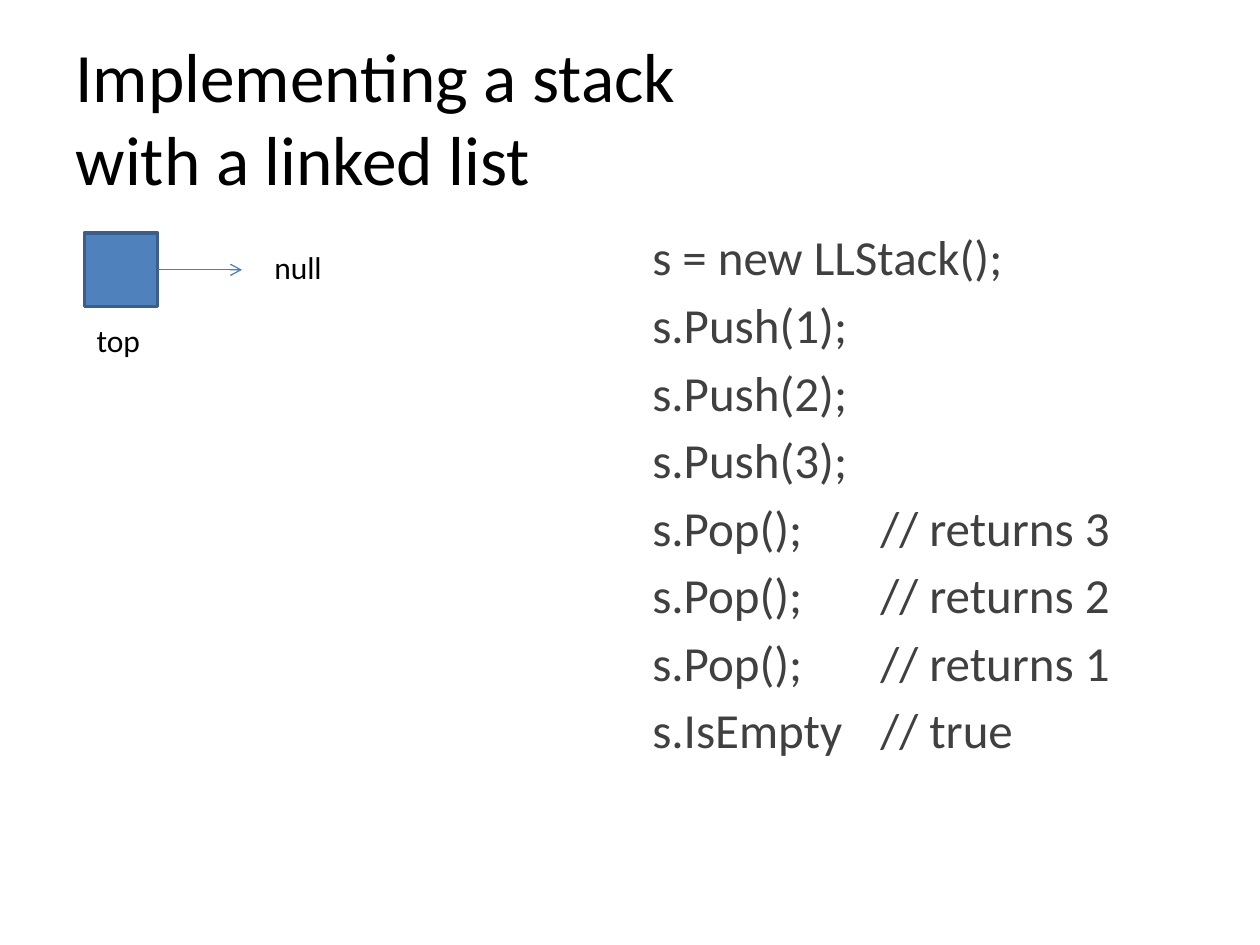
from dataclasses import dataclass

from lxml import etree
from pptx import Presentation
from pptx.dml.color import RGBColor
from pptx.enum.shapes import MSO_CONNECTOR, MSO_SHAPE
from pptx.enum.text import MSO_ANCHOR, MSO_AUTO_SIZE, PP_ALIGN
from pptx.oxml.ns import qn
from pptx.util import Cm, Pt

ELBOW = MSO_CONNECTOR.ELBOW
RECT = MSO_SHAPE.RECTANGLE
LEFT = PP_ALIGN.LEFT
TOP, MIDDLE = MSO_ANCHOR.TOP, MSO_ANCHOR.MIDDLE
FIXED, GROW = MSO_AUTO_SIZE.NONE, MSO_AUTO_SIZE.SHAPE_TO_FIT_TEXT
RIGHT_SIDE = 3


@dataclass(frozen=True)
class Theme:
    font: str = "Calibri"
    ink: RGBColor = RGBColor(0, 0, 0)
    code: RGBColor = RGBColor(0x40, 0x40, 0x40)
    node: RGBColor = RGBColor(0x4F, 0x81, 0xBD)
    edge: RGBColor = RGBColor(0x3A, 0x5F, 0x8C)
    arrow: RGBColor = RGBColor(0x4B, 0x7E, 0xBC)
    title_size: float = 39.6
    code_size: float = 28
    label_size: float = 18


@dataclass(frozen=True)
class Box:
    x: float
    y: float
    w: float
    h: float

    def place(self) -> tuple:
        return Cm(self.x), Cm(self.y), Cm(self.w), Cm(self.h)


@dataclass(frozen=True)
class Label:
    text: str
    box: Box


THEME = Theme()
TITLE = Label("Implementing a stack\vwith a linked list", Box(1.27, 0.76, 22.86, 3.18))
NODE = Box(1.7, 4.7, 1.48, 1.48)
ARROW_LEN = 1.7
LABELS = (
    Label("top", Box(1.7, 6.35, 1.4, 1.02)),
    Label("null", Box(5.28, 4.88, 1.48, 1.02)),
)
CODE = Label(
    "\n".join(
        ["s = new LLStack();"]
        + [f"s.Push({n});" for n in (1, 2, 3)]
        + [f"s.Pop();\t// returns {n}" for n in (3, 2, 1)]
        + ["s.IsEmpty\t// true"]
    ),
    Box(12.9, 4.45, 12.5, 12.57),
)
NOTE_TAB = 4.6


def apply(target, values: dict) -> None:
    for name, value in values.items():
        setattr(target, name, value)


def write(shape, text: str, size: float, color: RGBColor, frame: dict) -> None:
    body = shape.text_frame
    body.text = text
    apply(body, frame)
    for par in body.paragraphs:
        par.alignment = LEFT
        for run in par.runs:
            apply(run.font, {"name": THEME.font, "size": Pt(size)})
            run.font.color.rgb = color


def add_title(slide) -> None:
    title = slide.shapes.title
    spots = dict(zip(("left", "top", "width", "height"), TITLE.box.place()))
    apply(title, spots)
    frame = {"vertical_anchor": MIDDLE, "word_wrap": True, "auto_size": FIXED}
    write(title, TITLE.text, THEME.title_size, THEME.ink, frame)


def add_code(slide) -> None:
    """Write the calls, with their comments aligned at a tab stop."""
    box = slide.shapes.add_textbox(*CODE.box.place())
    frame = {"vertical_anchor": TOP, "word_wrap": True, "auto_size": FIXED}
    write(box, CODE.text, THEME.code_size, THEME.code, frame)
    for par in box.text_frame.paragraphs:
        par.space_before = Pt(5)
        tabs = etree.SubElement(par._p.get_or_add_pPr(), qn("a:tabLst"))
        etree.SubElement(tabs, qn("a:tab"), pos=str(Cm(NOTE_TAB)), algn="l")


def add_node(slide):
    node = slide.shapes.add_shape(RECT, *NODE.place())
    node.shadow.inherit = False
    node.fill.solid()
    node.fill.fore_color.rgb = THEME.node
    node.line.color.rgb = THEME.edge
    node.line.width = Pt(2)
    return node


def add_arrow(slide, node) -> None:
    start, mid = NODE.x + NODE.w, NODE.y + NODE.h / 2
    arrow = slide.shapes.add_connector(
        ELBOW, Cm(start), Cm(mid), Cm(start + ARROW_LEN), Cm(mid)
    )
    arrow.begin_connect(node, RIGHT_SIDE)
    arrow.line.color.rgb = THEME.arrow
    arrow.line.width = Pt(0.75)
    etree.SubElement(arrow.line._get_or_add_ln(), qn("a:tailEnd"), type="arrow")
    etree.SubElement(arrow._element.spPr, qn("a:effectLst"))


def add_label(slide, label: Label) -> None:
    box = slide.shapes.add_textbox(*label.box.place())
    frame = {"word_wrap": False, "auto_size": GROW}
    write(box, label.text, THEME.label_size, THEME.ink, frame)


def main() -> None:
    deck = Presentation()
    apply(deck, {"slide_width": Cm(25.4), "slide_height": Cm(19.05)})
    slide = deck.slides.add_slide(deck.slide_layouts[5])
    add_title(slide)
    add_code(slide)
    add_arrow(slide, add_node(slide))
    for label in LABELS:
        add_label(slide, label)
    deck.save("out.pptx")


if __name__ == "__main__":
    main()
